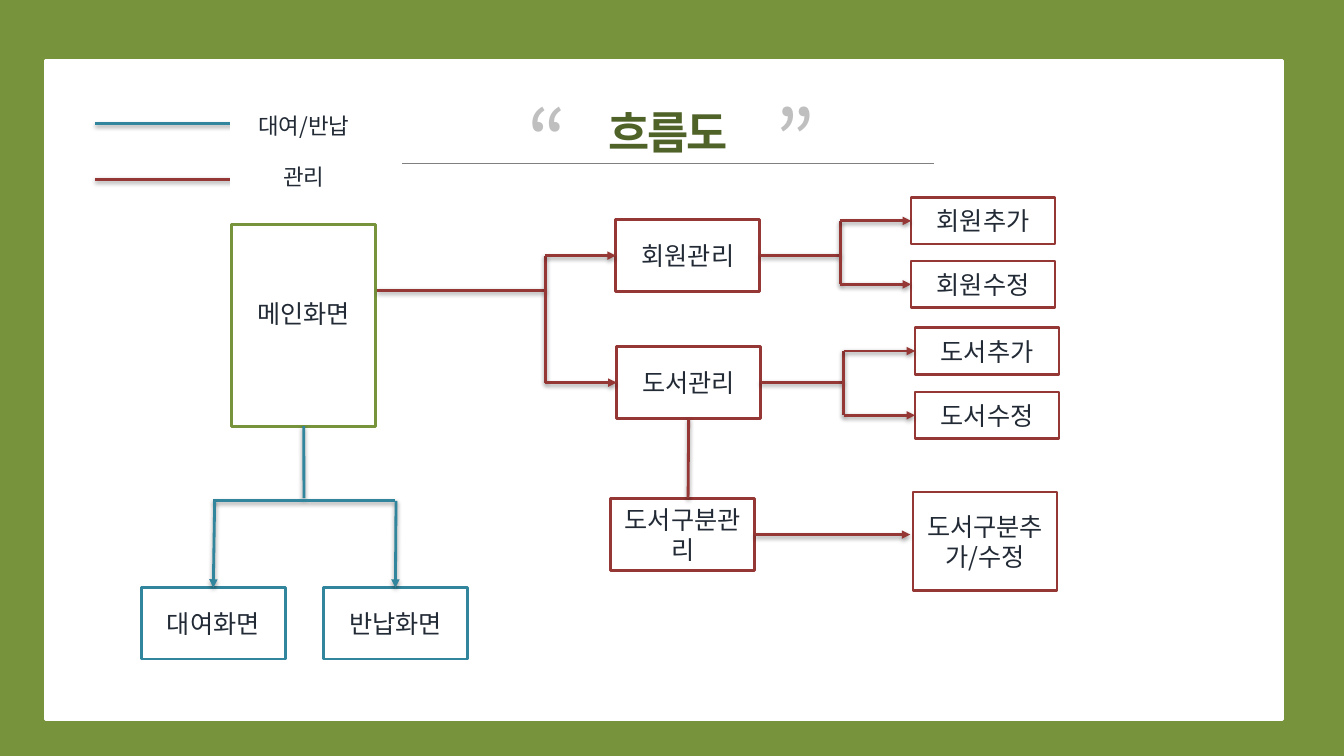
import pptx
import pptx.dml.color
import pptx.enum.shapes
import pptx.enum.text
import pptx.oxml
import pptx.oxml.ns
import pptx.util
from pptx.util import Cm

RGBColor = pptx.dml.color.RGBColor
GREEN = RGBColor(0x77, 0x93, 0x3C)
DARK_GREEN = RGBColor(0x4F, 0x62, 0x28)
BLUE = RGBColor(0x31, 0x85, 0x9C)
RED = RGBColor(0x95, 0x37, 0x35)
WHITE = RGBColor(0xFF, 0xFF, 0xFF)
INK = RGBColor(0x22, 0x2A, 0x35)
QUOTE_GREY = RGBColor(0xBF, 0xBF, 0xBF)
RULE_GREY = RGBColor(0x80, 0x80, 0x80)

FONT = "Noto Sans CJK KR"
TOP, LEFT, BOTTOM, RIGHT = range(4)
BOX_WIDTH, BOX_HEIGHT, LOW_HEIGHT = 3.63, 1.8, 1.17

SHADOW = (
    '<a:outerShdw blurRad="40000" dist="20000" dir="5400000" rotWithShape="0">'
    '<a:srgbClr val="000000"><a:alpha val="38000"/></a:srgbClr></a:outerShdw>'
)


def write(frame, text, size=18, color=INK, bold=False, spacing=None, gap=0):
    """Fill a frame with centred text, one paragraph per line."""
    for index, line in enumerate(text.split("\n")):
        paragraph = frame.add_paragraph() if index else frame.paragraphs[0]
        paragraph.alignment = pptx.enum.text.PP_ALIGN.CENTER
        paragraph.space_before = pptx.util.Pt(gap if index else 0)
        run = paragraph.add_run()
        run.text = line
        run.font.size = pptx.util.Pt(size)
        run.font.bold = bold
        run.font.name = FONT
        run.font.color.rgb = color
        properties = run.font._element
        east_asian = pptx.oxml.parse_xml(
            f'<a:ea {pptx.oxml.ns.nsdecls("a")} typeface="{FONT}"/>')
        properties.find(pptx.oxml.ns.qn("a:latin")).addnext(east_asian)
        if spacing is not None:
            properties.set("spc", str(round(spacing * 100)))


def add_label(slide, text, left, top, width, height, wrap=True, **style):
    frame = slide.shapes.add_textbox(
        Cm(left), Cm(top), Cm(width), Cm(height)).text_frame
    frame.word_wrap = wrap
    write(frame, text, **style)


def add_box(slide, text, left, top, color, width=BOX_WIDTH, height=BOX_HEIGHT,
            **style):
    box = slide.shapes.add_shape(
        pptx.enum.shapes.MSO_SHAPE.RECTANGLE,
        Cm(left), Cm(top), Cm(width), Cm(height))
    box.shadow.inherit = False
    box.fill.solid()
    box.fill.fore_color.rgb = WHITE
    box.line.color.rgb = color
    box.line.width = pptx.util.Pt(2)
    box.text_frame.word_wrap = True
    box.text_frame.vertical_anchor = pptx.enum.text.MSO_ANCHOR.MIDDLE
    if text:
        write(box.text_frame, text, **style)
    return box


def add_link(slide, start, end, color, arrow=False, weight=2, shadow=True):
    """Draw a line; each end is an (x, y) point in cm or a (box, side) pair."""
    joined = [not isinstance(stop[0], (int, float)) for stop in (start, end)]
    points = [(0, 0) if is_box else stop
              for is_box, stop in zip(joined, (start, end))]
    link = slide.shapes.add_connector(
        pptx.enum.shapes.MSO_CONNECTOR.STRAIGHT,
        *(Cm(value) for point in points for value in point))
    if joined[0]:
        link.begin_connect(*start)
    if joined[1]:
        link.end_connect(*end)
    link.line.color.rgb = color
    link.line.width = pptx.util.Pt(weight)
    namespace = pptx.oxml.ns.nsdecls("a")
    if arrow:
        link.line._get_or_add_ln().append(
            pptx.oxml.parse_xml(f'<a:tailEnd {namespace} type="triangle"/>'))
    link._element.spPr.append(pptx.oxml.parse_xml(
        f'<a:effectLst {namespace}>{SHADOW if shadow else ""}</a:effectLst>'))


def add_fork(slide, start, trunk_y, fork_x, targets):
    """Split a horizontal trunk into arrows to the boxes on its right."""
    heights = [(box.top + box.height / 2) / Cm(1) for box in targets]
    add_link(slide, start, (fork_x, trunk_y), RED)
    add_link(slide, (fork_x, min(heights)), (fork_x, max(heights)), RED)
    for box, y in zip(targets, heights):
        add_link(slide, (fork_x, y), (box, LEFT), RED, arrow=True)


def main():
    presentation = pptx.Presentation()
    presentation.slide_width = Cm(33.87)
    presentation.slide_height = Cm(19.05)
    slide = presentation.slides.add_slide(presentation.slide_layouts[6])
    slide.background.fill.solid()
    slide.background.fill.fore_color.rgb = GREEN
    add_box(slide, "", 1.14, 1.52, WHITE, width=31.19, height=16.61)

    # Title between quotation marks
    for mark, left in (("“", 12.52), ("”", 18.77)):
        add_label(slide, mark, left, 2.11, 2.54, 2.82, size=60, color=QUOTE_GREY)
    add_link(slide, (10.13, 4.11), (23.55, 4.11), RULE_GREY, weight=0.75,
             shadow=False)
    add_label(slide, "흐름도", 14.99, 2.51, 3.71, 1.63, wrap=False, size=32,
              color=DARK_GREEN, bold=True, spacing=-1.5)

    # Legend
    for y, color in ((3.12, BLUE), (4.52, RED)):
        add_link(slide, (5.94, y), (2.39, y), color)
    add_box(slide, "대여/반납\n관리", 5.84, 2.26, WHITE, height=3.1, size=16,
            gap=17)

    # Screens
    main_screen = add_box(slide, "메인화면", 5.84, 5.66, GREEN, height=5.08)
    main_screen.text_frame.margin_bottom = Cm(0.72)
    rental = add_box(slide, "대여화면", 3.56, 14.81, BLUE)
    returns = add_box(slide, "반납화면", 8.15, 14.81, BLUE)

    # Management
    members = add_box(slide, "회원관리", 15.52, 5.54, RED)
    books = add_box(slide, "도서관리", 15.54, 8.74, RED)
    categories = add_box(slide, "도서구분관리", 15.39, 12.57, RED)
    member_tasks = [
        add_box(slide, text, 22.96, top, RED, height=LOW_HEIGHT)
        for text, top in (("회원추가", 4.98), ("회원수정", 6.58))]
    book_tasks = [
        add_box(slide, text, 23.06, top, RED, height=LOW_HEIGHT)
        for text, top in (("도서추가", 8.26), ("도서수정", 9.88))]
    add_box(slide, "도서구분추가/수정", 23.01, 12.4, RED, height=2.49)

    # Rental and return flow
    add_link(slide, (main_screen, BOTTOM), (7.66, 12.55), BLUE)
    add_link(slide, (9.96, 12.62), (5.38, 12.62), BLUE)
    for screen, x in ((rental, 5.41), (returns, 9.98)):
        add_link(slide, (x, 12.62), (screen, TOP), BLUE, arrow=True)

    # Management flow
    add_fork(slide, (9.5, 7.32), 7.32, 13.74, [members, books])
    add_fork(slide, (members, RIGHT), 6.44, 21.18, member_tasks)
    add_fork(slide, (books, RIGHT), 9.64, 21.26, book_tasks)
    add_link(slide, (books, BOTTOM), (17.34, 12.55), RED)
    add_link(slide, (categories, RIGHT), (22.94, 13.47), RED, arrow=True)

    presentation.save("out.pptx")


if __name__ == "__main__":
    main()
